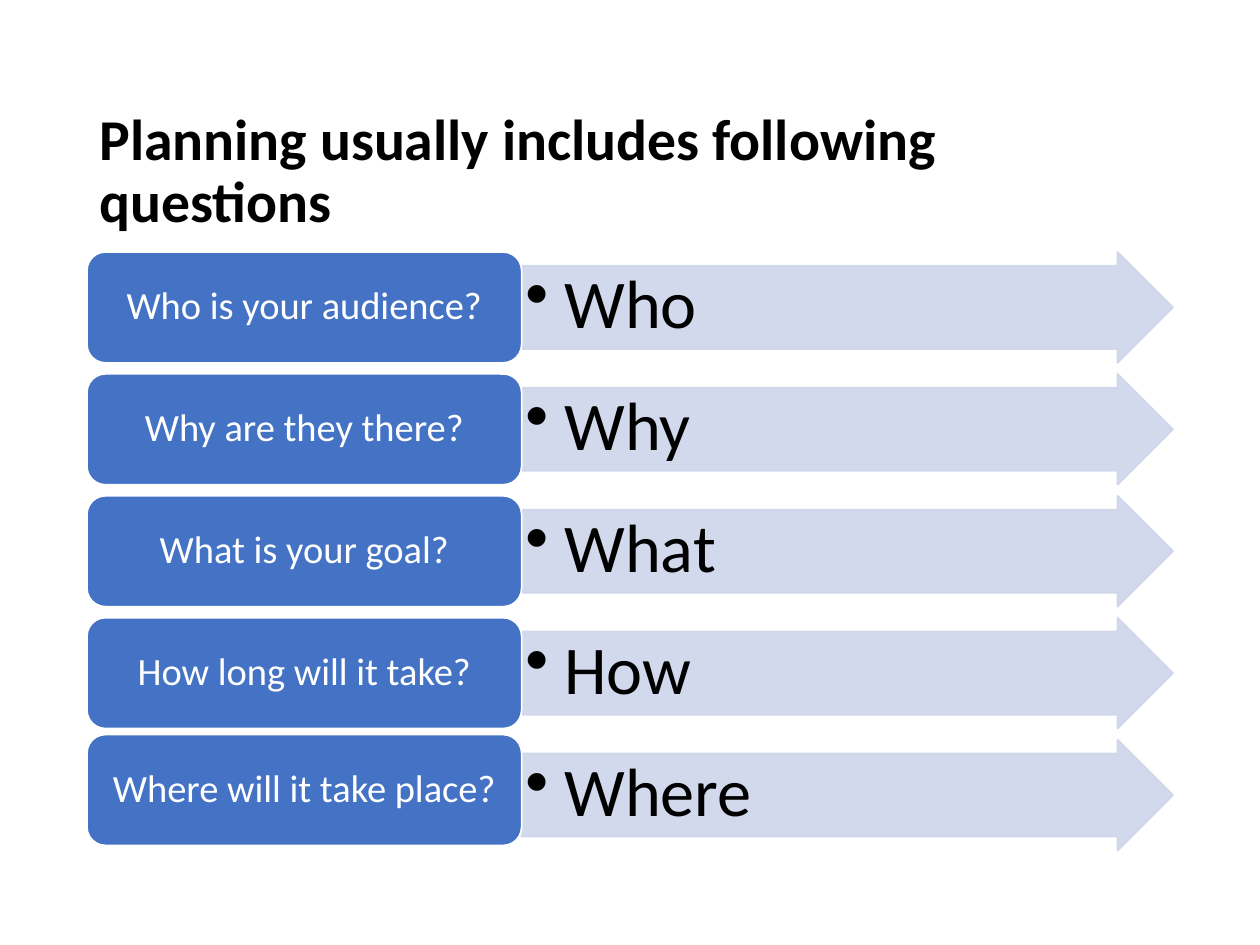
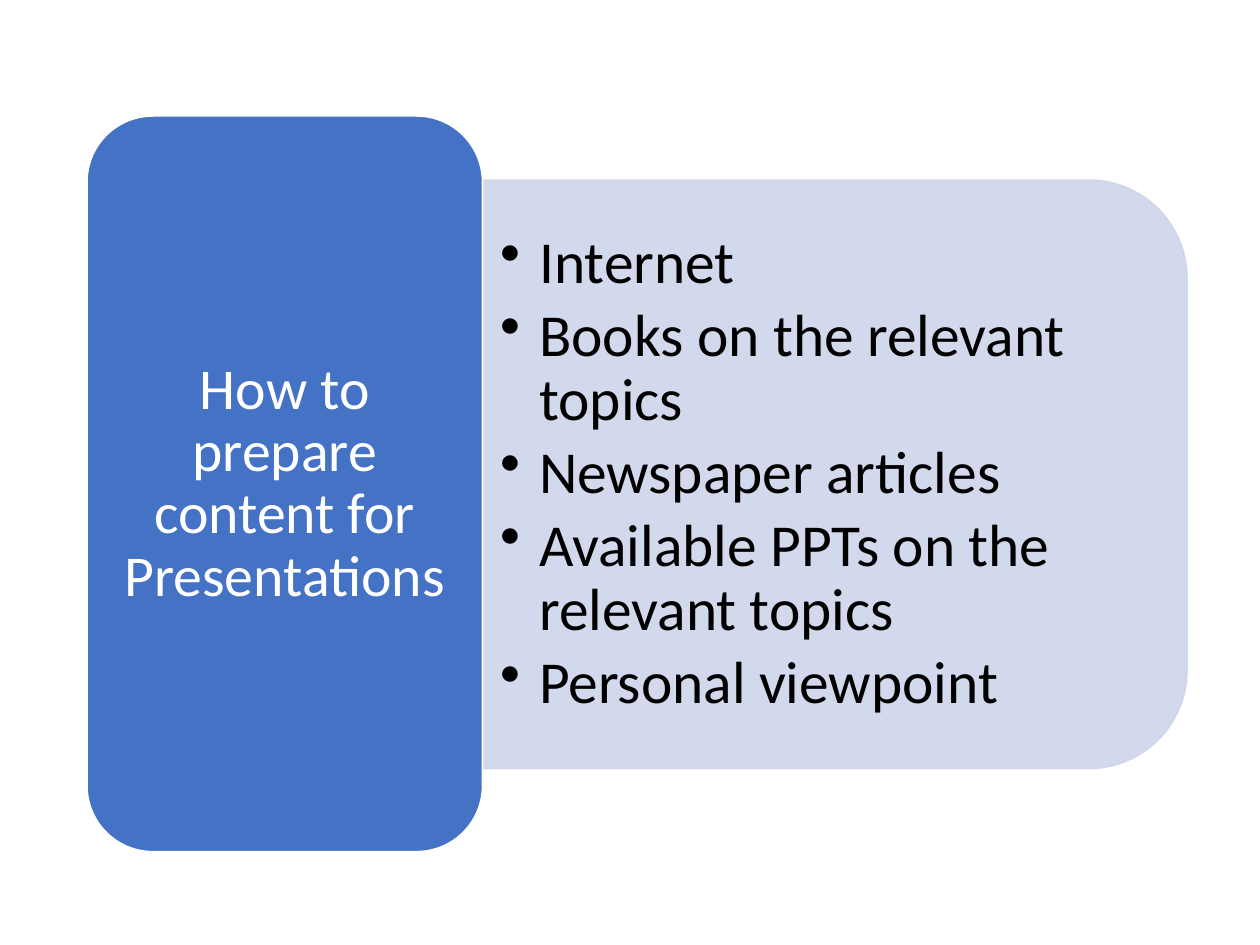
from dataclasses import dataclass

from lxml import etree
from pptx import Presentation
from pptx.dml.color import RGBColor
from pptx.enum.shapes import MSO_SHAPE
from pptx.enum.text import MSO_ANCHOR, PP_ALIGN
from pptx.oxml.ns import qn
from pptx.util import Inches, Pt

ROUNDED = MSO_SHAPE.ROUNDED_RECTANGLE
ARROW = MSO_SHAPE.RIGHT_ARROW
TWO_ROUNDED = MSO_SHAPE.ROUND_2_SAME_RECTANGLE
TOP, MIDDLE = MSO_ANCHOR.TOP, MSO_ANCHOR.MIDDLE
LEFT, CENTER = PP_ALIGN.LEFT, PP_ALIGN.CENTER

BLUE = RGBColor(0x44, 0x72, 0xC4)
PALE_BLUE = RGBColor(0xCF, 0xD5, 0xEA)
WHITE = RGBColor(0xFF, 0xFF, 0xFF)
BLACK = RGBColor(0x00, 0x00, 0x00)
FONT = "Calibri"
MARGIN = 0.69
BULLET_INDENT = Inches(0.31)


@dataclass
class Box:
    left: float
    top: float
    width: float
    height: float

    def lengths(self):
        return [Inches(value) for value in
                (self.left, self.top, self.width, self.height)]


@dataclass
class TextStyle:
    size: float
    color: RGBColor = BLACK
    align: int = LEFT
    anchor: int = MIDDLE
    inset_x: float = 0.1
    inset_y: float = 0.05
    space_after: float = 0
    bullet: bool = False
    bold: bool = False


@dataclass
class Question:
    text: str
    keyword: str
    label_shift: float = 0


TITLE = TextStyle(33, bold=True)
QUESTION = TextStyle(22, WHITE, CENTER, inset_x=0.09)
KEYWORD = TextStyle(39, anchor=TOP, inset_x=0.03, inset_y=0.03, bullet=True)
TOPIC = TextStyle(33, WHITE, CENTER, inset_x=0.14, inset_y=0.07)
SOURCE = TextStyle(34, inset_x=0.14, inset_y=0.07, space_after=5, bullet=True)

QUESTIONS = [
    Question("Who is your audience?", "Who"),
    Question("Why are they there?", "Why"),
    Question("What is your goal?", "What"),
    Question("How long will it take?", "How"),
    Question("Where will it take place?", "Where", -0.04),
]
FIRST_ROW, LAST_ROW = 2, 5.87
ROW_STEP = (LAST_ROW - FIRST_ROW) / (len(QUESTIONS) - 1)
ROW_HEIGHT = 0.88
LABEL_WIDTH, ARROW_WIDTH = 3.45, 5.17

SOURCES = [
    "Internet",
    "Books on the relevant topics",
    "Newspaper articles",
    "Available PPTs on the relevant topics",
    "Personal viewpoint",
]


def write(shape, lines: list[str], style: TextStyle) -> None:
    frame = shape.text_frame
    frame.word_wrap = True
    frame.vertical_anchor = style.anchor
    frame.margin_left = frame.margin_right = Inches(style.inset_x)
    frame.margin_top = frame.margin_bottom = Inches(style.inset_y)
    for index, line in enumerate(lines):
        paragraph = frame.paragraphs[0] if index == 0 else frame.add_paragraph()
        paragraph.text = line
        paragraph.alignment = style.align
        paragraph.line_spacing = 0.9
        paragraph.space_after = Pt(style.space_after)
        if style.bullet:
            properties = paragraph._p.get_or_add_pPr()
            properties.set("marL", str(BULLET_INDENT))
            properties.set("indent", str(-BULLET_INDENT))
            etree.SubElement(properties, qn("a:buChar")).set("char", "•")
        paragraph.font.name = FONT
        paragraph.font.size = Pt(style.size)
        paragraph.font.bold = style.bold
        paragraph.font.color.rgb = style.color


def add_text(slide, box: Box, lines: list[str], style: TextStyle) -> None:
    write(slide.shapes.add_textbox(*box.lengths()), lines, style)


def add_panel(slide, kind, box: Box, fill: RGBColor, line: RGBColor):
    shape = slide.shapes.add_shape(kind, *box.lengths())
    shape.shadow.inherit = False
    shape.fill.solid()
    shape.fill.fore_color.rgb = fill
    shape.line.color.rgb = line
    shape.line.width = Pt(1)
    return shape


def add_label(slide, box: Box, text: str, style: TextStyle) -> None:
    write(add_panel(slide, ROUNDED, box, BLUE, WHITE), [text], style)


def add_pale_panel(slide, kind, box: Box):
    """Add a pale panel whose fill and line are 90 % opaque."""
    shape = add_panel(slide, kind, box, PALE_BLUE, PALE_BLUE)
    for color in shape._element.spPr.iter(qn("a:srgbClr")):
        etree.SubElement(color, qn("a:alpha")).set("val", "90000")
    return shape


def build_questions(slide) -> None:
    add_text(slide, Box(MARGIN, 0.82, 8.62, 1.1),
             ["Planning usually includes following questions"], TITLE)
    for row, question in enumerate(QUESTIONS):
        top = FIRST_ROW + row * ROW_STEP
        arrow = add_pale_panel(slide, ARROW, Box(MARGIN + LABEL_WIDTH, top,
                                                 ARROW_WIDTH, ROW_HEIGHT))
        arrow.adjustments[0] = 0.75
        arrow.adjustments[1] = 0.5
        write(arrow, [question.keyword], KEYWORD)
        add_label(slide, Box(MARGIN, top + question.label_shift,
                             LABEL_WIDTH, ROW_HEIGHT), question.text, QUESTION)


def build_sources(slide) -> None:
    # The panel is turned so that its round corners face right
    panel = add_pale_panel(slide, TWO_ROUNDED, Box(4.29, 0.97, 4.67, 5.59))
    panel.rotation = 90
    add_text(slide, Box(3.83, 1.66, 5.36, 4.21), SOURCES, SOURCE)
    add_label(slide, Box(MARGIN, 0.92, 3.14, 5.84),
              "How to prepare content for Presentations", TOPIC)


def main() -> None:
    presentation = Presentation()
    presentation.slide_width = Inches(10)
    presentation.slide_height = Inches(7.5)
    blank = presentation.slide_layouts[6]
    for build in (build_questions, build_sources):
        build(presentation.slides.add_slide(blank))
    presentation.save("out.pptx")


if __name__ == "__main__":
    main()
